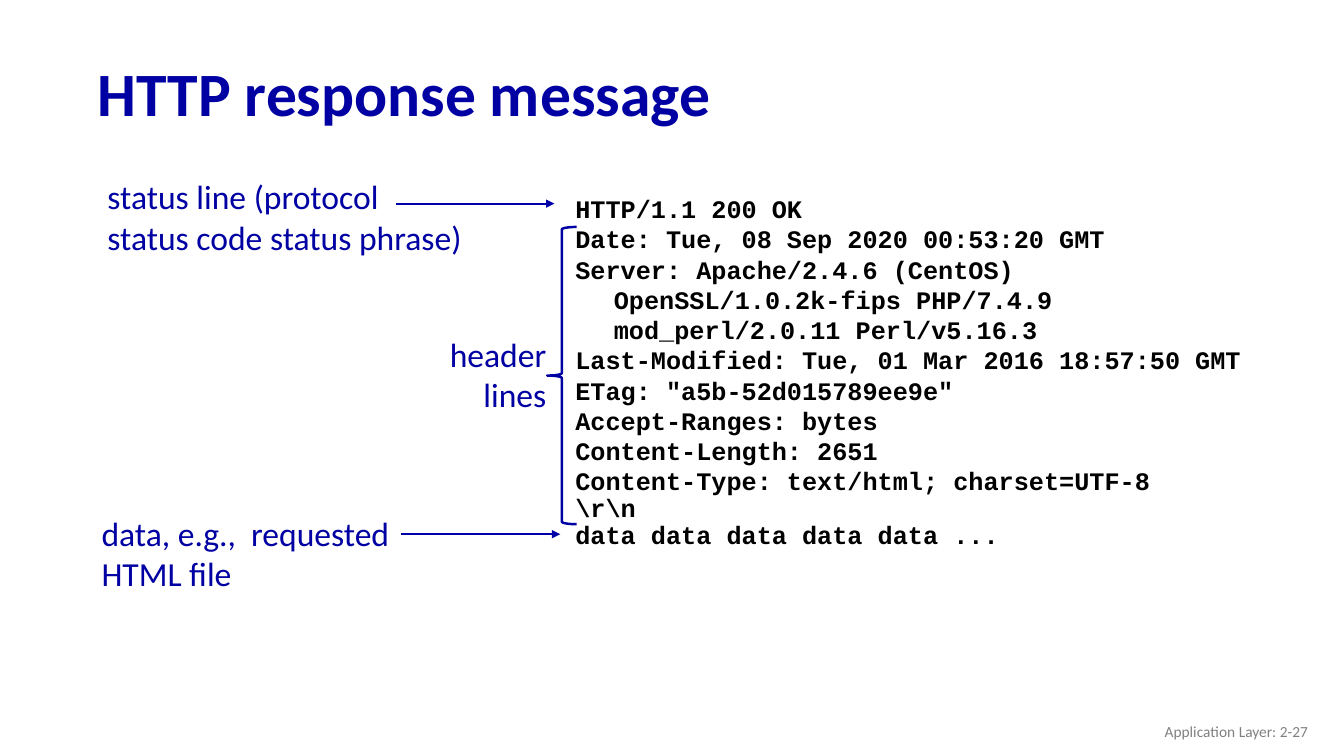
"""Builds the slide on the parts of an HTTP response message."""
import pptx
import pptx.util
import pptx.dml.color
import pptx.enum.shapes
import pptx.enum.text
import pptx.oxml
import pptx.oxml.ns

Cm = pptx.util.Cm
Pt = pptx.util.Pt
RGBColor = pptx.dml.color.RGBColor
Align = pptx.enum.text.PP_ALIGN
Anchor = pptx.enum.text.MSO_ANCHOR

NAVY = RGBColor(0x00, 0x00, 0xA3)
BLUE = RGBColor(0x00, 0x00, 0xA8)
BLACK = RGBColor(0x00, 0x00, 0x00)
GRAY = RGBColor(0x80, 0x80, 0x80)
SANS, MONO = "Calibri", "Courier New"

TITLE = "HTTP response message"
FOOTER = "Application Layer: 2-27"
HEAD = [
    "HTTP/1.1 200 OK",
    "Date: Tue, 08 Sep 2020 00:53:20 GMT",
    "Server: Apache/2.4.6 (CentOS) OpenSSL/1.0.2k-fips PHP/7.4.9 mod_perl/2.0.11 Perl/v5.16.3",
    "Last-Modified: Tue, 01 Mar 2016 18:57:50 GMT",
    'ETag: "a5b-52d015789ee9e"',
    "Accept-Ranges: bytes",
    "Content-Length: 2651",
    "Content-Type: text/html; charset=UTF-8",
]
BODY = [r"\r\n", "data data data data data ..."]
LABELS = [
    (["status line (protocol", "status code status phrase)"], (2.46, 4.32, 11.28, 2.31), Align.LEFT),
    (["header", "lines"], (11.05, 8.28, 2.97, 2.31), Align.RIGHT),
    (["data, e.g.,  requested", "HTML file"], (2.31, 12.8, 10.01, 2.31), Align.LEFT),
]
ARROWS = [(9.98, 13.97, 5.13), (10.11, 14.12, 13.46)]
BRACE = (13.79, 5.72, 0.74, 7.49)
HANG = 0.97


def add_text(slide, lines, box, size, color, font=SANS, bold=False,
             align=Align.LEFT, anchor=Anchor.TOP, wrap=True):
    frame = slide.shapes.add_textbox(*map(Cm, box)).text_frame
    frame.word_wrap = wrap
    frame.vertical_anchor = anchor
    for i, line in enumerate(lines):
        para = frame.paragraphs[0] if i == 0 else frame.add_paragraph()
        para.alignment = align
        run = para.add_run()
        run.text = line
        run.font.name = font
        run.font.size = Pt(size)
        run.font.bold = bold
        run.font.color.rgb = color
    return frame.paragraphs


def add_arrow(slide, left, right, y):
    kind = pptx.enum.shapes.MSO_CONNECTOR.STRAIGHT
    arrow = slide.shapes.add_connector(kind, Cm(left), Cm(y), Cm(right), Cm(y))
    arrow.line.color.rgb = BLUE
    arrow.line.width = Pt(1.5)
    tip = pptx.oxml.parse_xml(
        f'<a:tailEnd {pptx.oxml.ns.nsdecls("a")} type="triangle"/>')
    arrow.line._get_or_add_ln().append(tip)
    plain = pptx.oxml.parse_xml(f'<a:effectLst {pptx.oxml.ns.nsdecls("a")}/>')
    arrow._element.spPr.append(plain)


def add_brace(slide):
    kind = pptx.enum.shapes.MSO_SHAPE.LEFT_BRACE
    brace = slide.shapes.add_shape(kind, *map(Cm, BRACE))
    brace.shadow.inherit = False
    brace.fill.background()
    brace.line.color.rgb = NAVY
    brace.line.width = Pt(1.75)


def add_code(slide):
    paras = add_text(slide, HEAD + BODY, (14.25, 4.75, 17.53, 9.7), 18, BLACK, MONO, True)
    for i, para in enumerate(paras):
        props = para._p.get_or_add_pPr()
        props.set("marL", str(Cm(HANG)))
        props.set("indent", str(-Cm(HANG)))
        if i >= len(HEAD):
            para.line_spacing = 0.9


def main():
    deck = pptx.Presentation()
    deck.slide_width, deck.slide_height = Cm(33.87), Cm(19.05)
    slide = deck.slides.add_slide(deck.slide_layouts[6])
    title = add_text(slide, [TITLE], (2.21, 1.19, 29.21, 2.49), 44, NAVY,
                     bold=True, anchor=Anchor.MIDDLE)
    title[0].line_spacing = 0.9
    for lines, box, align in LABELS:
        add_text(slide, lines, box, 24, NAVY, align=align, wrap=align == Align.LEFT)
    add_code(slide)
    for arrow in ARROWS:
        add_arrow(slide, *arrow)
    add_brace(slide)
    add_text(slide, [FOOTER], (25.6, 17.91, 7.62, 1.02), 11, GRAY,
             align=Align.RIGHT, anchor=Anchor.MIDDLE)
    deck.save("out.pptx")


if __name__ == "__main__":
    main()
